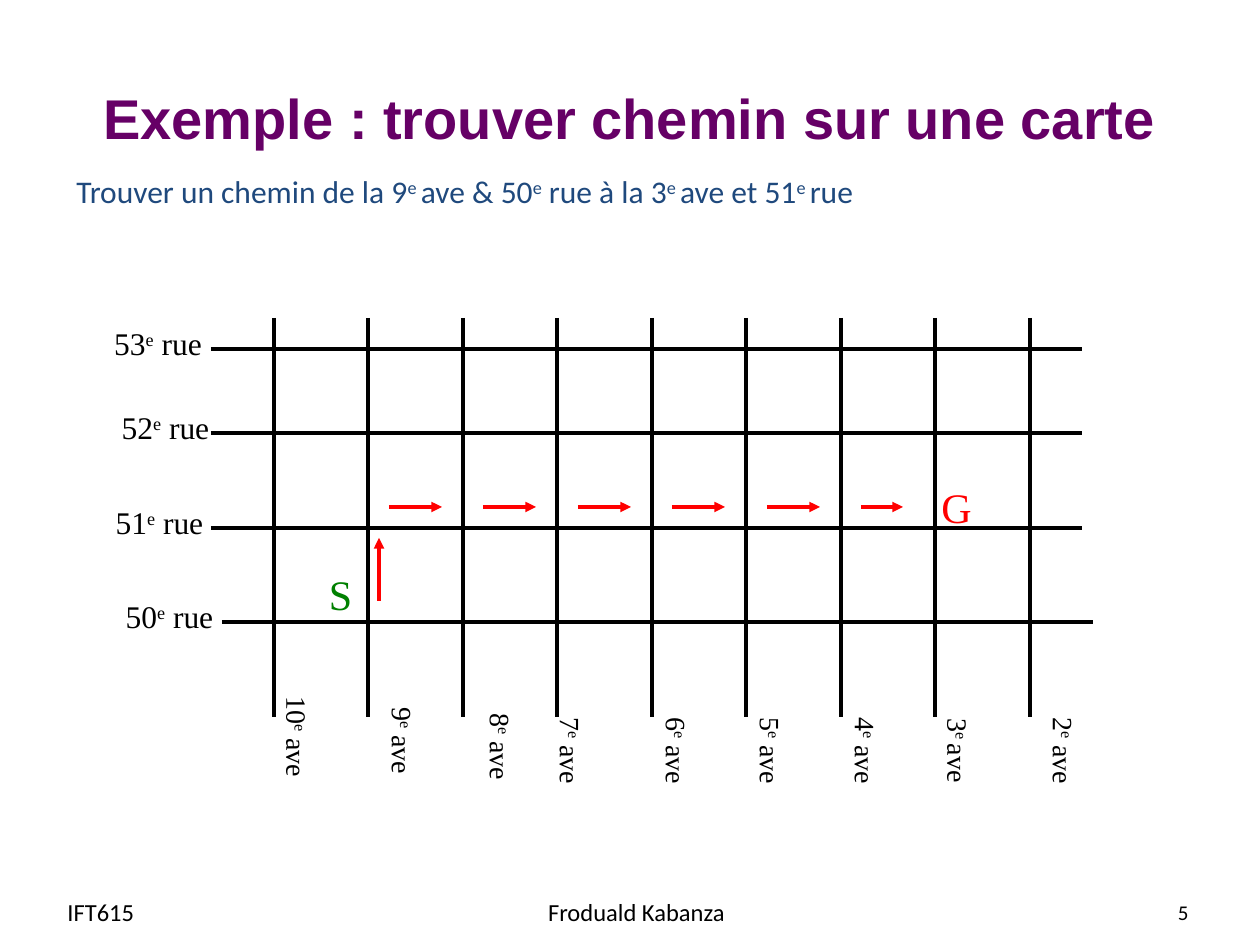
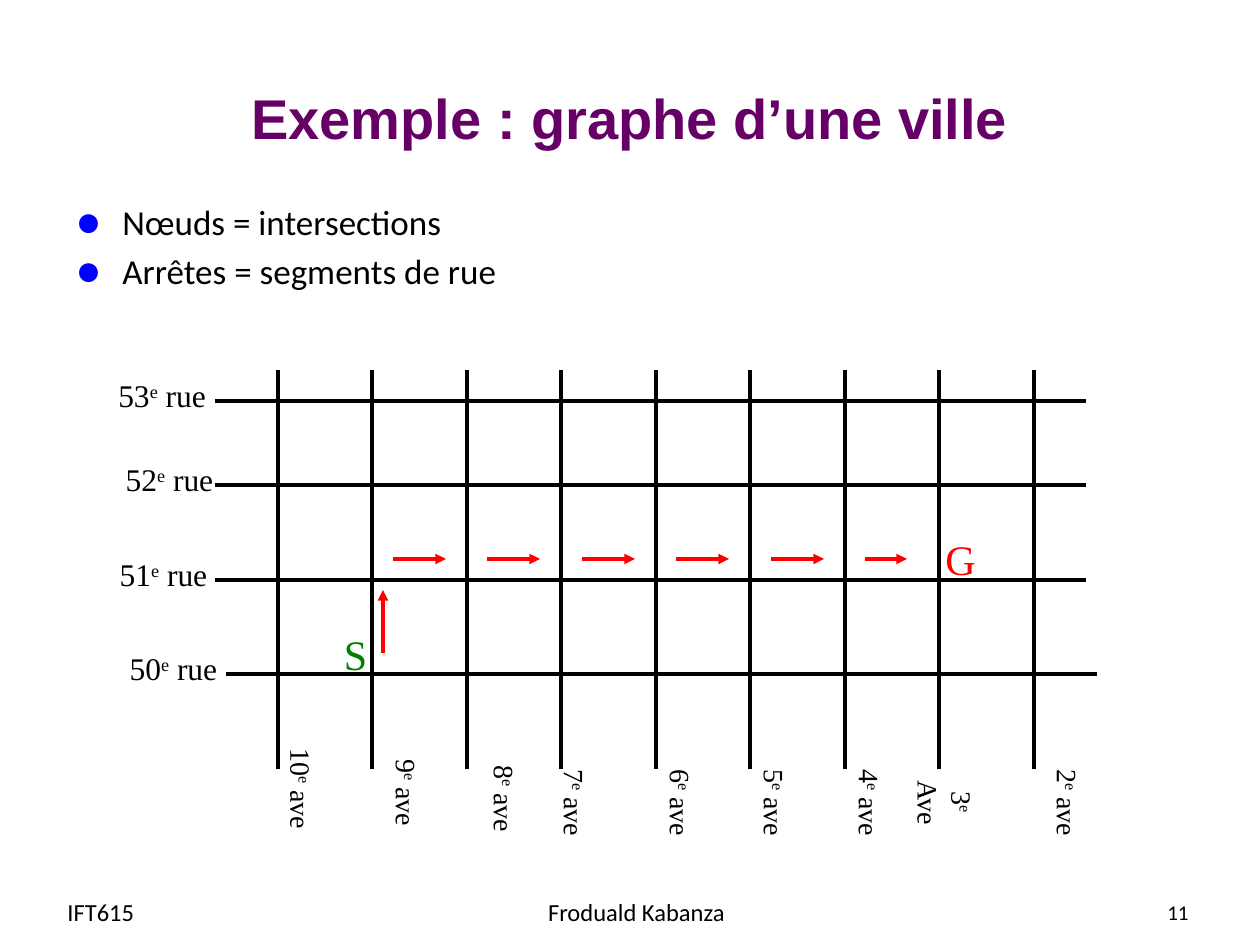
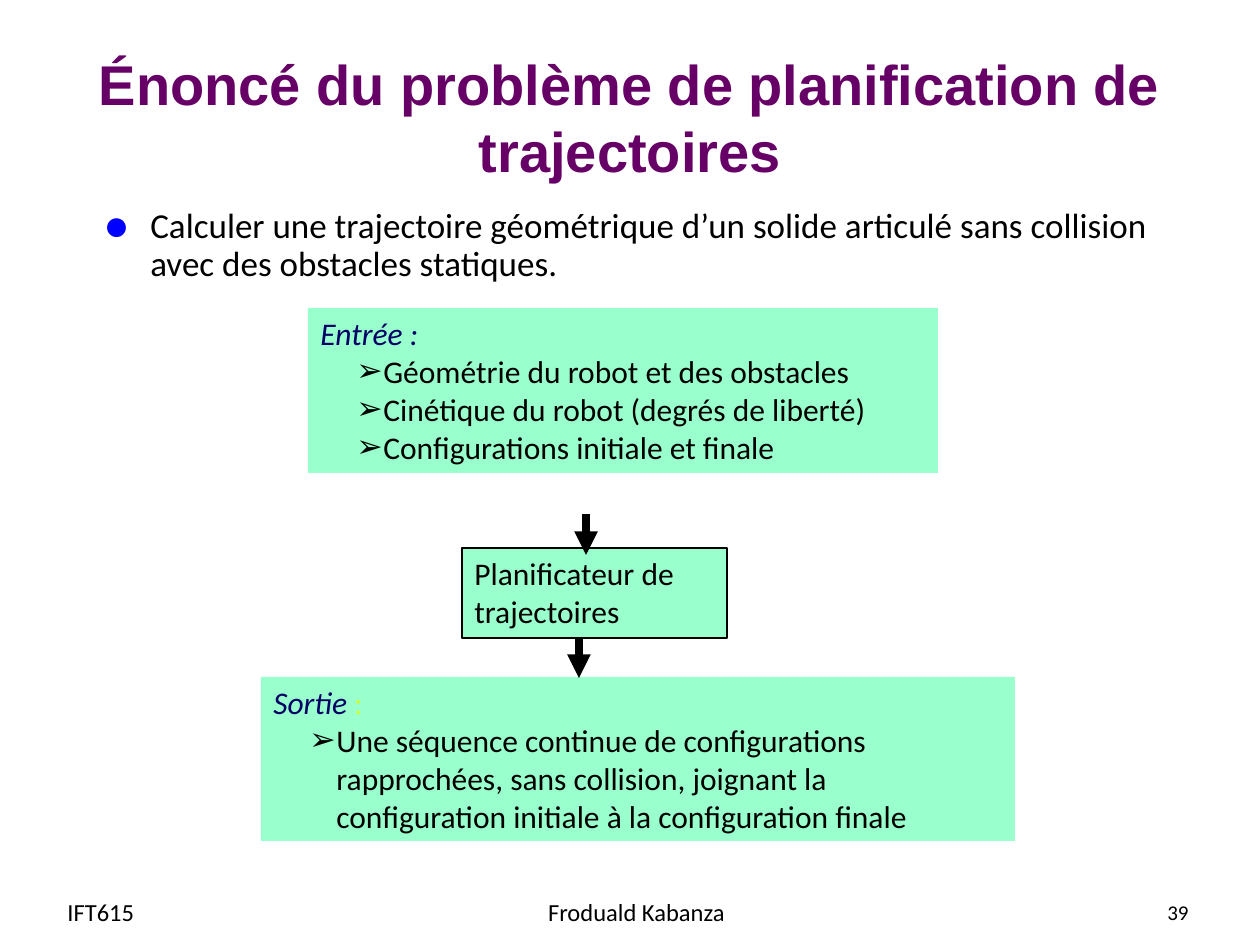
from lxml import etree
from pptx import Presentation
from pptx.dml.color import RGBColor
from pptx.enum.shapes import MSO_CONNECTOR, MSO_SHAPE
from pptx.enum.text import MSO_ANCHOR, MSO_AUTO_SIZE, PP_ALIGN
from pptx.oxml.ns import qn
from pptx.util import Emu, Pt

PX_PER_INCH = 126
LEFT, CENTER, RIGHT = PP_ALIGN.LEFT, PP_ALIGN.CENTER, PP_ALIGN.RIGHT
TOP, MIDDLE = MSO_ANCHOR.TOP, MSO_ANCHOR.MIDDLE
FIXED, GROW = MSO_AUTO_SIZE.NONE, MSO_AUTO_SIZE.SHAPE_TO_FIT_TEXT
STRAIGHT, RECTANGLE = MSO_CONNECTOR.STRAIGHT, MSO_SHAPE.RECTANGLE
TITLE_ONLY = 5

BLACK = RGBColor(0x00, 0x00, 0x00)
PURPLE = RGBColor(0x66, 0x00, 0x66)
STEEL = RGBColor(0x1F, 0x49, 0x7D)
BLUE = RGBColor(0x00, 0x00, 0xFF)
NAVY = RGBColor(0x00, 0x00, 0x66)
RED = RGBColor(0xFF, 0x00, 0x00)
GREEN = RGBColor(0x00, 0x80, 0x00)
MINT = RGBColor(0x99, 0xFF, 0xCC)
LIME = RGBColor(0xCC, 0xFF, 0x33)

TITLE_FONT, BODY_FONT, MAP_FONT = "Arial", "Calibri", "Times New Roman"

# Street: label, label left, label width, line y, line left
STREETS = [
    ("53^e^ rue ", 101, 122, 349, 211),
    ("52^e^ rue", 108, 115, 433, 211),
    ("51^e^ rue", 102, 115, 528, 211),
    ("50^e^ rue", 112, 115, 622, 222),
]
STREET_LENGTH = 871
# Avenue: number, label centre x, label centre y, label width
AVENUES = [
    (10, 297, 736, 108), (9, 402, 740, 93), (8, 500, 746, 93),
    (7, 570, 750, 93), (6, 676, 750, 93), (5, 770, 750, 93),
    (4, 865, 750, 93), (3, 958, 750, 94), (2, 1063, 750, 93),
]
AVENUE_TOP, AVENUE_BOTTOM = 318, 717
FIRST_AVENUE_X, AVENUES_WIDTH = 274, 756


def px(length):
    return Emu(round(length * 914400 / PX_PER_INCH))


def avenue_offset(index):
    return AVENUES_WIDTH * index // (len(AVENUES) - 1)


def add_run(paragraph, text, size, color, font=BODY_FONT, bold=False, italic=False):
    run = paragraph.add_run()
    run.text = text
    run.font.name = font
    run.font.size = Pt(size)
    run.font.bold = bold
    run.font.italic = italic
    run.font.color.rgb = color
    return run


def add_marked_text(paragraph, text, size, color, font=BODY_FONT):
    """Add runs; the parts between ^ marks are superscript."""
    for index, part in enumerate(text.split("^")):
        run = add_run(paragraph, part, size, color, font)
        if index % 2:
            run._r.get_or_add_rPr().set("baseline", "30000")


def set_bullet(paragraph, character, margin, hanging, color=None, percent=100):
    properties = paragraph._p.get_or_add_pPr()
    properties.set("marL", str(px(margin)))
    properties.set("indent", str(-px(hanging)))
    if color is not None:
        bullet_color = etree.SubElement(properties, qn("a:buClr"))
        etree.SubElement(bullet_color, qn("a:srgbClr")).set("val", str(color))
    etree.SubElement(properties, qn("a:buSzPct")).set("val", str(percent * 1000))
    etree.SubElement(properties, qn("a:buFont")).set("typeface", "Arial")
    etree.SubElement(properties, qn("a:buChar")).set("char", character)


def add_text_box(shapes, left, top, width, height, text, size, color=BLACK,
                 font=BODY_FONT, align=LEFT, anchor=TOP, wrap=True, fit=GROW):
    box = shapes.add_textbox(px(left), px(top), px(width), px(height))
    frame = box.text_frame
    frame.word_wrap = wrap
    frame.auto_size = fit
    frame.vertical_anchor = anchor
    paragraph = frame.paragraphs[0]
    paragraph.alignment = align
    add_marked_text(paragraph, text, size, color, font)
    return box


def add_line(shapes, x1, y1, x2, y2, color=BLACK, width=2, arrow=False):
    line = shapes.add_connector(STRAIGHT, px(x1), px(y1), px(x2), px(y2))
    line.line.color.rgb = color
    line.line.width = Pt(width)
    if arrow:
        outline = line.line._get_or_add_ln()
        etree.SubElement(outline, qn("a:tailEnd")).set("type", "triangle")
    etree.SubElement(line._element.spPr, qn("a:effectLst"))


def add_footer(slide, number):
    for left, width, text, size, align in [
        (55, 243, "IFT615", 14, LEFT),
        (907, 294, number, 12, RIGHT),
        (437, 399, "Froduald Kabanza", 14, CENTER),
    ]:
        add_text_box(slide.shapes, left, 887, width, 50, text, size,
                     align=align, anchor=MIDDLE, fit=FIXED)


def add_slide(presentation, title_text, number):
    slide = presentation.slides.add_slide(presentation.slide_layouts[TITLE_ONLY])
    title = slide.shapes.title
    title.left, title.top, title.width, title.height = px(63), px(38), px(1134), px(158)
    frame = title.text_frame
    frame.word_wrap = True
    frame.auto_size = FIXED
    frame.vertical_anchor = MIDDLE
    frame.paragraphs[0].alignment = CENTER
    add_run(frame.paragraphs[0], title_text, 32, PURPLE, TITLE_FONT, bold=True)
    add_footer(slide, number)
    return slide


def add_bullet_list(slide, left, top, width, height, items, line_spacing=1.0):
    box = slide.shapes.add_textbox(px(left), px(top), px(width), px(height))
    frame = box.text_frame
    frame.word_wrap = True
    for index, item in enumerate(items):
        paragraph = frame.add_paragraph() if index else frame.paragraphs[0]
        paragraph.space_before = Pt(4)
        paragraph.line_spacing = line_spacing
        set_bullet(paragraph, "●", 47, 47, BLUE, 125)
        add_run(paragraph, item, 20, BLACK)


def add_city_map(slide, start_left, start_top, third_avenue, shift_x=0, shift_y=0):
    """Draw streets, avenues and the path from S to G, then shift the whole group."""
    group = slide.shapes.add_group_shape()
    shapes = group.shapes

    for index, (number, center_x, center_y, width) in enumerate(AVENUES):
        x = FIRST_AVENUE_X + avenue_offset(index)
        add_line(shapes, x, AVENUE_TOP, x, AVENUE_BOTTOM)
        text = third_avenue if number == 3 else f"{number}^e^ ave"
        label = add_text_box(shapes, center_x - width // 2, center_y - 23, width, 47,
                             text, 16, font=MAP_FONT, align=CENTER, wrap=False)
        label.rotation = 90

    for text, label_left, label_width, y, line_left in STREETS:
        add_line(shapes, line_left, y, line_left + STREET_LENGTH, y)
        add_text_box(shapes, label_left, y - 31, label_width, 50, text, 18,
                     font=MAP_FONT, align=CENTER, wrap=False)

    add_text_box(shapes, start_left, start_top, 49, 63, "S", 24, GREEN, MAP_FONT,
                 CENTER, wrap=False)
    add_text_box(shapes, 925, 475, 63, 63, "G", 24, RED, MAP_FONT, CENTER)

    for index, length in enumerate([53] * 5 + [42]):
        x = 389 + avenue_offset(index)
        add_line(shapes, x, 507, x + length, 507, RED, arrow=True)
    add_line(shapes, 379, 601, 379, 538, RED, arrow=True)

    group.left += px(shift_x)
    group.top += px(shift_y)


def add_panel(slide, left, top, width, height, outlined=False):
    """Add a mint rectangle and return its text frame."""
    panel = slide.shapes.add_shape(RECTANGLE, px(left), px(top), px(width), px(height))
    panel.shadow.inherit = False
    panel.fill.solid()
    panel.fill.fore_color.rgb = MINT
    if outlined:
        panel.line.color.rgb = BLACK
        panel.line.width = Pt(0.75)
    else:
        panel.line.fill.background()
    frame = panel.text_frame
    frame.word_wrap = True
    frame.auto_size = GROW
    frame.vertical_anchor = TOP
    frame.paragraphs[0].alignment = LEFT
    return frame


def add_arrow_items(frame, items):
    for item in items:
        paragraph = frame.add_paragraph()
        paragraph.alignment = LEFT
        set_bullet(paragraph, "➢", 63, 27)
        add_run(paragraph, item, 18, BLACK)


def build_path_slide(presentation):
    slide = add_slide(presentation, "Exemple : trouver chemin sur une carte", "5")
    add_city_map(slide, 316, 562, "3^e ^ave")
    add_text_box(slide.shapes, 64, 166, 1176, 50,
                 "Trouver un chemin de la 9^e ^ave & 50^e^ rue à la 3^e ^ave et 51^e ^rue",
                 18, STEEL)


def build_graph_slide(presentation):
    slide = add_slide(presentation, "Exemple : graphe d’une ville", "11")
    add_bullet_list(slide, 63, 194, 1134, 624,
                    ["Nœuds = intersections", "Arrêtes = segments de rue"])
    add_city_map(slide, 327, 570, "3^e^ Ave", shift_x=4, shift_y=52)


def build_planning_slide(presentation):
    slide = add_slide(presentation,
                      "Énoncé du problème de planification de trajectoires", "39")
    add_bullet_list(slide, 91, 202, 1133, 644, [
        "Calculer une trajectoire géométrique d’un solide articulé sans collision "
        "avec des obstacles statiques."], line_spacing=0.9)

    planner = add_panel(slide, 462, 548, 265, 90, outlined=True)
    add_run(planner.paragraphs[0], "Planificateur de trajectoires", 18, BLACK)

    inputs = add_panel(slide, 308, 308, 630, 165)
    add_run(inputs.paragraphs[0], "Entrée :", 18, NAVY, italic=True)
    add_arrow_items(inputs, [
        "Géométrie du robot et des obstacles",
        "Cinétique du robot (degrés de liberté)",
        "Configurations initiale et finale",
    ])

    output = add_panel(slide, 261, 677, 754, 164)
    add_run(output.paragraphs[0], "Sortie", 18, NAVY, italic=True)
    add_run(output.paragraphs[0], " :", 18, LIME)
    add_arrow_items(output, [
        "Une séquence continue de configurations rapprochées, sans collision, "
        "joignant la configuration initiale à la configuration finale"])

    for x, top, bottom in [(586, 514, 555), (579, 638, 678)]:
        add_line(slide.shapes, x, top, x, bottom, width=4.5, arrow=True)


def main():
    presentation = Presentation()
    presentation.slide_width = px(1260)
    presentation.slide_height = px(945)
    build_path_slide(presentation)
    build_graph_slide(presentation)
    build_planning_slide(presentation)
    presentation.save("out.pptx")


if __name__ == "__main__":
    main()
